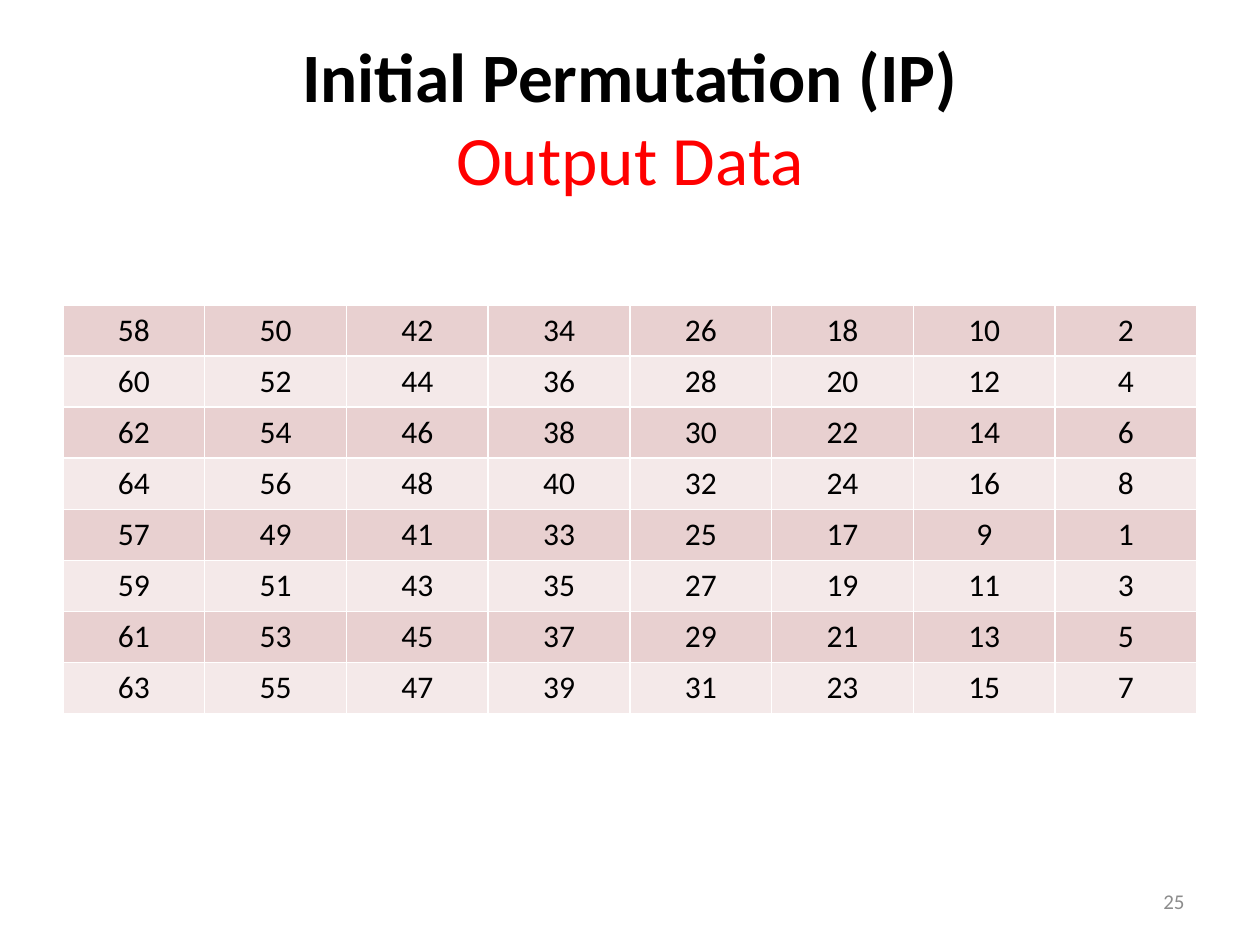
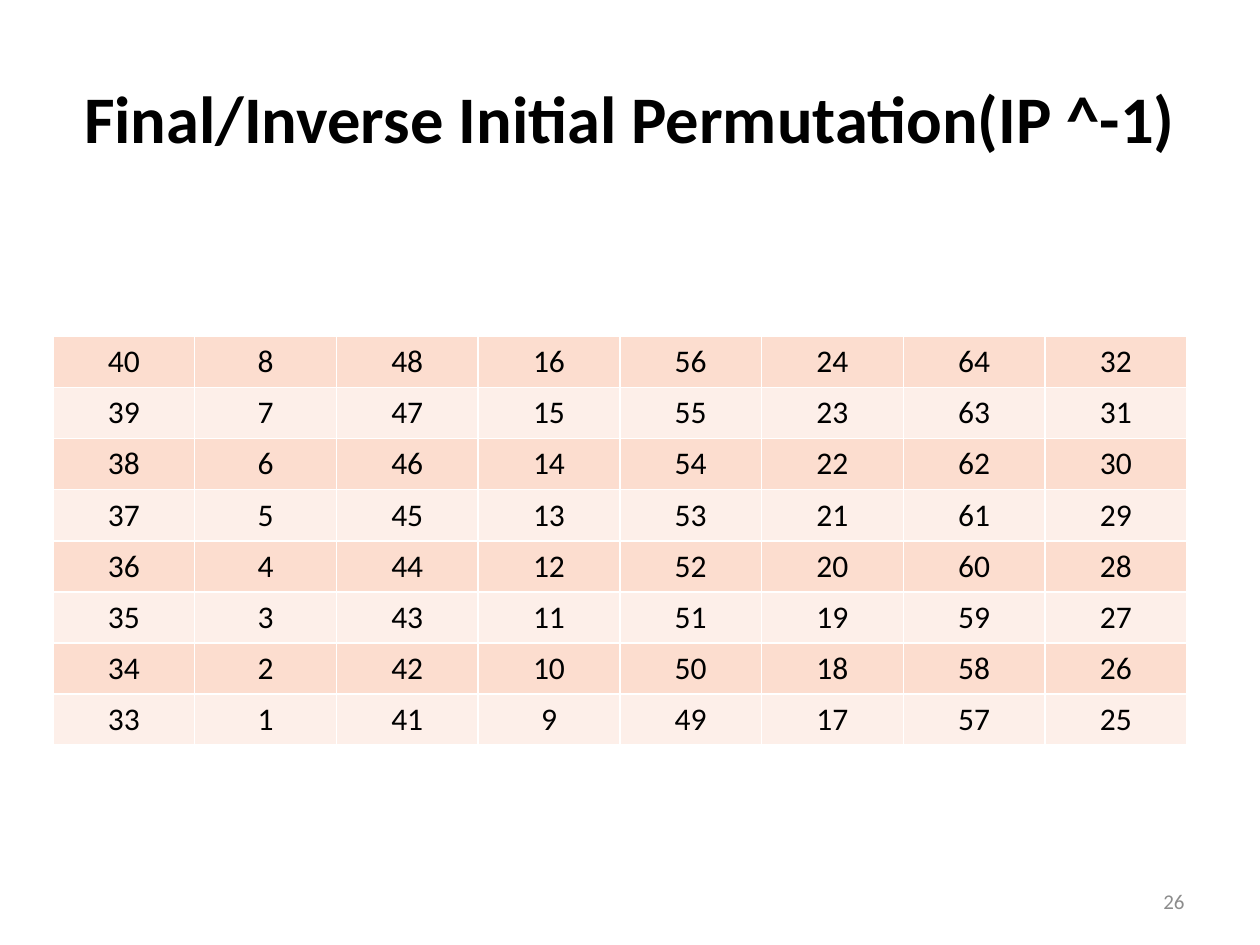
import copy
import pptx
import pptx.util
import pptx.dml.color
import pptx.enum.text
import pptx.oxml.ns
from lxml import etree

SLIDES = [
    {
        "title": [("Initial Permutation (IP)", "000000", True),
                  ("Output Data", "FF0000", False)],
        "title_size": 39.6,
        "rows": [[first - 8 * c for c in range(8)]
                 for first in (58, 60, 62, 64, 57, 59, 61, 63)],
        "at": (0.5, 2.42),
        "bands": ("E8D0D0", "F4E9E9"),
        "number": "25",
    },
    {
        "title": [("Final/Inverse Initial Permutation(IP ^-1)", "000000", True)],
        "title_size": 38,
        "rows": [[top - r for top in (40, 8, 48, 16, 56, 24, 64, 32)]
                 for r in range(8)],
        "at": (0.42, 2.67),
        "bands": ("FCDDCF", "FDEFE9"),
        "number": "26",
    },
]

W, H = 10, 7.5
MARGIN = 0.05 * W
CONTENT_W = W - 2 * MARGIN
ROW_H = 0.405
FONT = "Calibri"
BLACK, WHITE, GREY = "000000", "FFFFFF", "8C8C8C"

inch = pptx.util.Inches
qn = pptx.oxml.ns.qn
ALIGN = pptx.enum.text.PP_ALIGN
MIDDLE = pptx.enum.text.MSO_ANCHOR.MIDDLE


def rgb(color):
    return pptx.dml.color.RGBColor.from_string(color)


def style(r, size, color, bold=False):
    r.font.name = FONT
    r.font.size = pptx.util.Pt(size)
    r.font.color.rgb = rgb(color)
    r.font.bold = bold


def place(sp, left, top, width, height):
    sp.left, sp.top, sp.width, sp.height = map(inch, (left, top, width, height))


def add_title(s, lines, size):
    sp = s.shapes.title
    place(sp, MARGIN, 0.04 * H, CONTENT_W, H / 6)
    tf = sp.text_frame
    tf.vertical_anchor = MIDDLE
    tf.auto_size = pptx.enum.text.MSO_AUTO_SIZE.NONE
    p = tf.paragraphs[0]
    p.text = "\v".join(text for text, _, _ in lines)
    p.alignment = ALIGN.CENTER
    for r, (_, color, bold) in zip(p.runs, lines):
        style(r, size, color, bold)
    for br in p._p.findall(qn("a:br")):
        br.append(copy.deepcopy(p.runs[0]._r.rPr))


def add_borders(cell, color, width):
    tcPr = cell._tc.get_or_add_tcPr()
    for side in ("a:lnL", "a:lnR", "a:lnT", "a:lnB"):
        ln = etree.SubElement(tcPr, qn(side), w=str(pptx.util.Pt(width)))
        fill = etree.SubElement(ln, qn("a:solidFill"))
        etree.SubElement(fill, qn("a:srgbClr"), val=color)


def add_grid(s, rows, at, bands):
    n_rows, n_cols = len(rows), len(rows[0])
    table = s.shapes.add_table(n_rows, n_cols, inch(at[0]), inch(at[1]),
                               inch(CONTENT_W), inch(ROW_H * n_rows)).table
    table.first_row = table.horz_banding = False
    for i, row in enumerate(rows):
        for j, value in enumerate(row):
            cell = table.cell(i, j)
            add_borders(cell, WHITE, 1)
            cell.fill.solid()
            cell.fill.fore_color.rgb = rgb(bands[i % 2])
            p = cell.text_frame.paragraphs[0]
            p.text = str(value)
            p.alignment = ALIGN.CENTER
            style(p.runs[0], 18, BLACK)


def add_number(s, number):
    width = 7 / 30 * W
    sp = s.shapes.add_textbox(inch(W - MARGIN - width), inch(6.95),
                              inch(width), inch(0.4))
    tf = sp.text_frame
    tf.word_wrap = True
    tf.vertical_anchor = MIDDLE
    p = tf.paragraphs[0]
    p.text = number
    p.alignment = ALIGN.RIGHT
    style(p.runs[0], 12, GREY)


def main():
    prs = pptx.Presentation()
    prs.slide_width, prs.slide_height = inch(W), inch(H)
    for item in SLIDES:
        s = prs.slides.add_slide(prs.slide_layouts.get_by_name("Title Only"))
        add_title(s, item["title"], item["title_size"])
        add_grid(s, item["rows"], item["at"], item["bands"])
        add_number(s, item["number"])
    prs.save("out.pptx")


if __name__ == "__main__":
    main()
